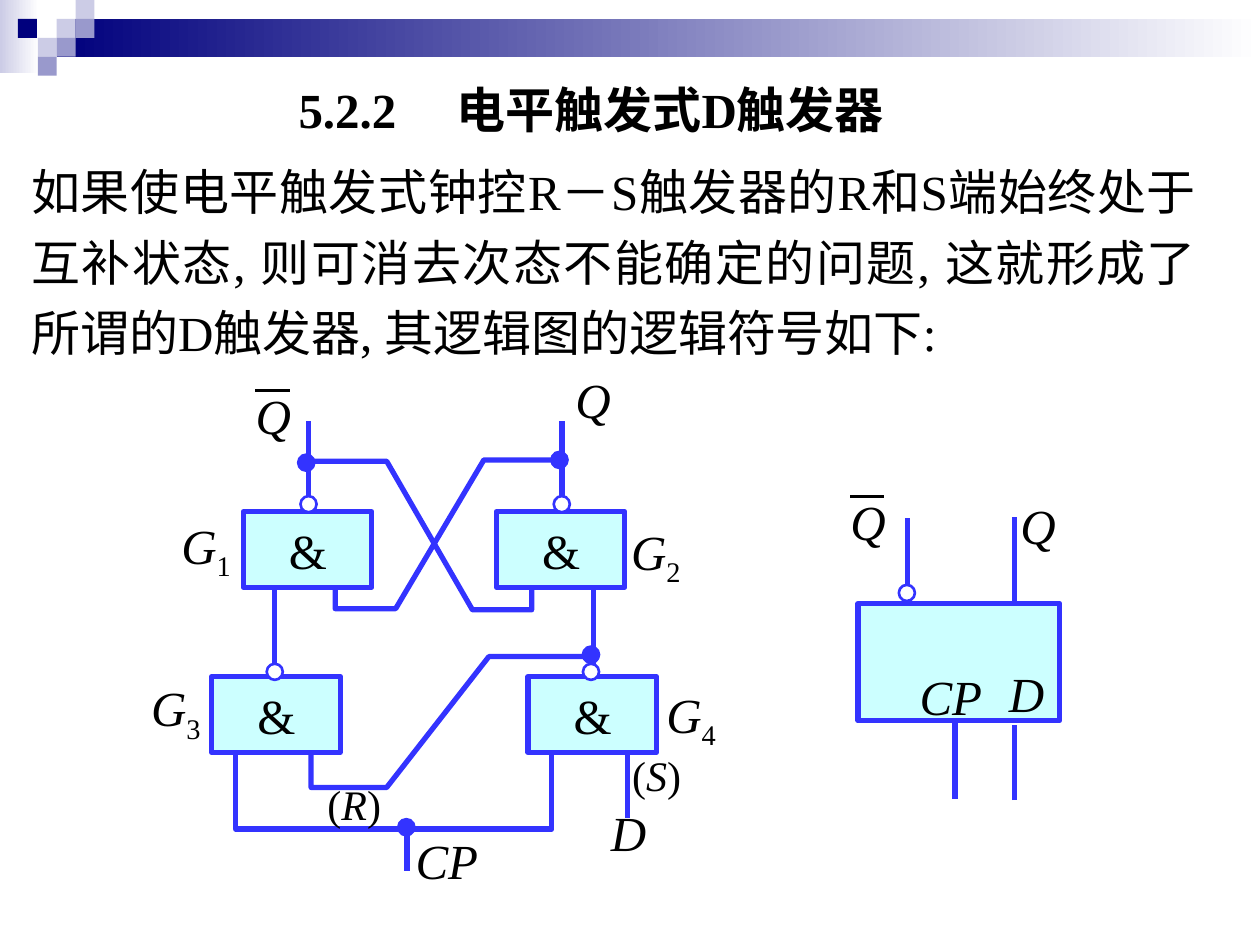
from itertools import groupby

from lxml import etree
from pptx import Presentation
from pptx.dml.color import RGBColor
from pptx.enum.shapes import MSO_CONNECTOR as LINK, MSO_SHAPE as SHAPE
from pptx.enum.text import MSO_ANCHOR as ANCHOR, MSO_AUTO_SIZE as FIT, PP_ALIGN as ALIGN
from pptx.oxml.ns import qn
from pptx.util import Pt

COLORS = {"wire": "3333FF", "gate": "CCFFFF", "paper": "FFFFFF", "ink": "000000",
          "navy": "00007D", "pale": "CCCCE6", "mid": "9999CC"}
FONT = "Times New Roman"
CIRCLE = 9.2


def rgb(name):
    return RGBColor.from_string(COLORS[name])


def style_run(run, **extra):
    values = {"name": FONT, "size": Pt(28), **extra}
    for key, value in values.items():
        setattr(run.font, key, value)
    run.font.color.rgb = rgb("ink")


def add_block(slide, kind, left, top, width, height, fill, weight=0):
    block = slide.shapes.add_shape(kind, Pt(left), Pt(top), Pt(width), Pt(height))
    block.shadow.inherit = False
    if isinstance(fill, tuple):
        block.fill.gradient()
        block.fill.gradient_angle = 0
        for stop, name in zip(block.fill.gradient_stops, fill):
            stop.color.rgb = rgb(name)
    else:
        block.fill.solid()
        block.fill.fore_color.rgb = rgb(fill)
    if weight:
        block.line.color.rgb = rgb("wire")
        block.line.width = Pt(weight)
    else:
        block.line.fill.background()


def add_circle(slide, x, y, fill):
    add_block(slide, SHAPE.OVAL, x - CIRCLE / 2, y - CIRCLE / 2, CIRCLE, CIRCLE, fill, 1.5)


def add_line(slide, x1, y1, x2, y2, color="wire", weight=3):
    line = slide.shapes.add_connector(LINK.STRAIGHT, Pt(x1), Pt(y1), Pt(x2), Pt(y2))
    line.line.color.rgb = rgb(color)
    line.line.width = Pt(weight)
    etree.SubElement(line._element.spPr, qn("a:effectLst"))


def add_bent_wire(slide, left, top, points):
    start, *rest = [(Pt(left + x), Pt(top + y)) for x, y in points]
    builder = slide.shapes.build_freeform(*start)
    builder.add_line_segments(rest, close=False)
    wire = builder.convert_to_shape()
    wire.shadow.inherit = False
    wire.fill.background()
    wire.line.color.rgb = rgb("wire")
    wire.line.width = Pt(3)


def add_label(slide, text, left, top, width, size=28):
    box = slide.shapes.add_textbox(Pt(left), Pt(top), Pt(width), Pt(size * 1.46))
    box.text_frame.word_wrap = True
    for is_letter, chars in groupby(text, key=str.isalpha):
        run = box.text_frame.paragraphs[0].add_run()
        run.text = "".join(chars)
        style_run(run, size=Pt(size), italic=is_letter)
        if run.text.isdigit():
            run.font._element.set("baseline", "-25000")


def add_inverted_q(slide, left, top):
    add_label(slide, "Q", left, top, 36)
    add_line(slide, left + 7, top + 6.5, left + 26.5, top + 6.5, "ink", 1.5)


def add_banner(slide, left, top, width, cell):
    add_block(slide, SHAPE.RECTANGLE, left, top, 22.3, 41.8, ("pale", "paper"))
    add_block(slide, SHAPE.RECTANGLE, left + 3 * cell, top + cell,
              width - 3 * cell, 2 * cell, ("navy", "paper"))
    squares = [(3, 1, "pale"), (4, 0, "pale"), (4, 1, "mid"), (2, 2, "pale"),
               (0.95, 1, "navy"), (3, 2, "mid"), (2, 3, "mid")]
    for column, row, color in squares:
        add_block(slide, SHAPE.RECTANGLE, left + column * cell, top + row * cell,
                  cell, cell, color)


def add_heading(slide, left, top, width, height):
    title = slide.shapes.title
    box = {"left": left, "top": top, "width": width, "height": height}
    for key, value in box.items():
        setattr(title, key, Pt(value))
    frame = title.text_frame
    for key, value in {"auto_size": FIT.NONE, "vertical_anchor": ANCHOR.TOP,
                       "word_wrap": True}.items():
        setattr(frame, key, value)
    heading = frame.paragraphs[0]
    heading.alignment = ALIGN.LEFT
    tabs = etree.SubElement(heading._p.get_or_add_pPr(), qn("a:tabLst"))
    etree.SubElement(tabs, qn("a:tab"), pos=str(Pt(90.5)), algn="l")
    run = heading.add_run()
    run.text = "5.2.2\t电平触发式D触发器"
    style_run(run, bold=True)


def add_intro(slide, left, top, width, height):
    box = slide.shapes.add_textbox(Pt(left), Pt(top), Pt(width), Pt(height))
    box.text_frame.word_wrap = True
    intro = box.text_frame.paragraphs[0]
    intro.alignment = ALIGN.JUSTIFY
    intro.line_spacing = 1.2
    run = intro.add_run()
    run.text = ("如果使电平触发式钟控R－S触发器的R和S端始终处于互补状态, "
                "则可消去次态不能确定的问题, 这就形成了所谓的D触发器, "
                "其逻辑图的逻辑符号如下:")
    style_run(run)


def add_gate(slide, left, top, name, label_dx, label_dy, bubble_dx, bubble_dy):
    add_block(slide, SHAPE.RECTANGLE, left, top, 73.4, 43.2, "gate", 3)
    add_label(slide, "&", left + 19, top + 1.4, 40)
    add_circle(slide, left + 36.7 + bubble_dx, top + bubble_dy, "paper")
    add_label(slide, name, left + label_dx, top + label_dy, 46)


def add_circuit(slide, left, top):
    bent_wires = [
        [(55.4, 221), (55.4, 266.4), (236.2, 266.4), (236.2, 216.7)],
        [(112.3, 114.5), (112.3, 140.4), (146.9, 140.4), (197.3, 55.4), (243.4, 55.4)],
        [(224.6, 115.2), (224.6, 141.1), (190.8, 141.1), (141.8, 56.2), (96.5, 56.2)],
        [(98.6, 222.5), (98.6, 242.6), (141.8, 242.6), (200.2, 167.8), (259.9, 167.8)],
    ]
    for points in bent_wires:
        add_bent_wire(slide, left, top, points)
    for x, start, end in [(97.2, 76.3, 33.1), (241.9, 76.3, 33.1), (77.8, 176.4, 126.7),
                          (259.9, 175, 126.7), (279.4, 259.9, 221.8),
                          (153.4, 290.2, 265)]:
        add_line(slide, left + x, top + start, left + x, top + end)
    for x, y, *details in [(59.8, 85, "G1", -42.5, -1.4, 0.6, -4.3),
                           (204.5, 85, "G2", 69.8, 2.2, 0.6, -4.3),
                           (41.8, 179.3, "G3", -41.8, -2.9, -0.7, -2.8),
                           (222.5, 179.3, "G4", 72, 0.7, -0.7, -2.8)]:
        add_gate(slide, left + x, top + y, *details)
    for x, y in [(95.8, 57), (240.5, 55.4), (258.5, 166.7), (153, 265.3)]:
        add_circle(slide, left + x, top + y, "wire")
    add_inverted_q(slide, left + 59.8, top + 9.4)
    for text, x, y, width, size in [("Q", 242.6, 0, 36, 28), ("D", 262.8, 247.7, 36, 28),
                                    ("CP", 151.2, 263.5, 67, 28),
                                    ("(R)", 100.8, 234, 54, 24),
                                    ("(S)", 275, 217.4, 54, 24)]:
        add_label(slide, text, left + x, top + y, width, size)


def add_symbol(slide, left, top):
    for x, start, end in [(39.6, 68.4, 18.7), (100.8, 68.4, 18),
                          (67, 179.3, 136.1), (100.8, 180, 136.8)]:
        add_line(slide, left + x, top + start, left + x, top + end)
    add_block(slide, SHAPE.RECTANGLE, left + 11.5, top + 67.7, 115.2, 67, "gate", 3)
    add_circle(slide, left + 39.4, top + 61.6, "paper")
    add_inverted_q(slide, left, top)
    for text, x, y, width in [("Q", 97.2, 2.2, 36), ("CP", 39.6, 100, 67),
                              ("D", 90.7, 98.6, 36)]:
        add_label(slide, text, left + x, top + y, width)


def main():
    deck = Presentation()
    deck.slide_width, deck.slide_height = Pt(720), Pt(540)
    slide = deck.slides.add_slide(deck.slide_layouts[5])
    add_banner(slide, 0, 0, 720, 10.8)
    add_heading(slide, 163.4, 41.8, 463.7, 41)
    add_intro(slide, 10.8, 82.1, 679.7, 128.2)
    add_symbol(slide, 478.8, 277.2)
    add_circuit(slide, 79.2, 207.4)
    deck.save("out.pptx")


if __name__ == "__main__":
    main()
